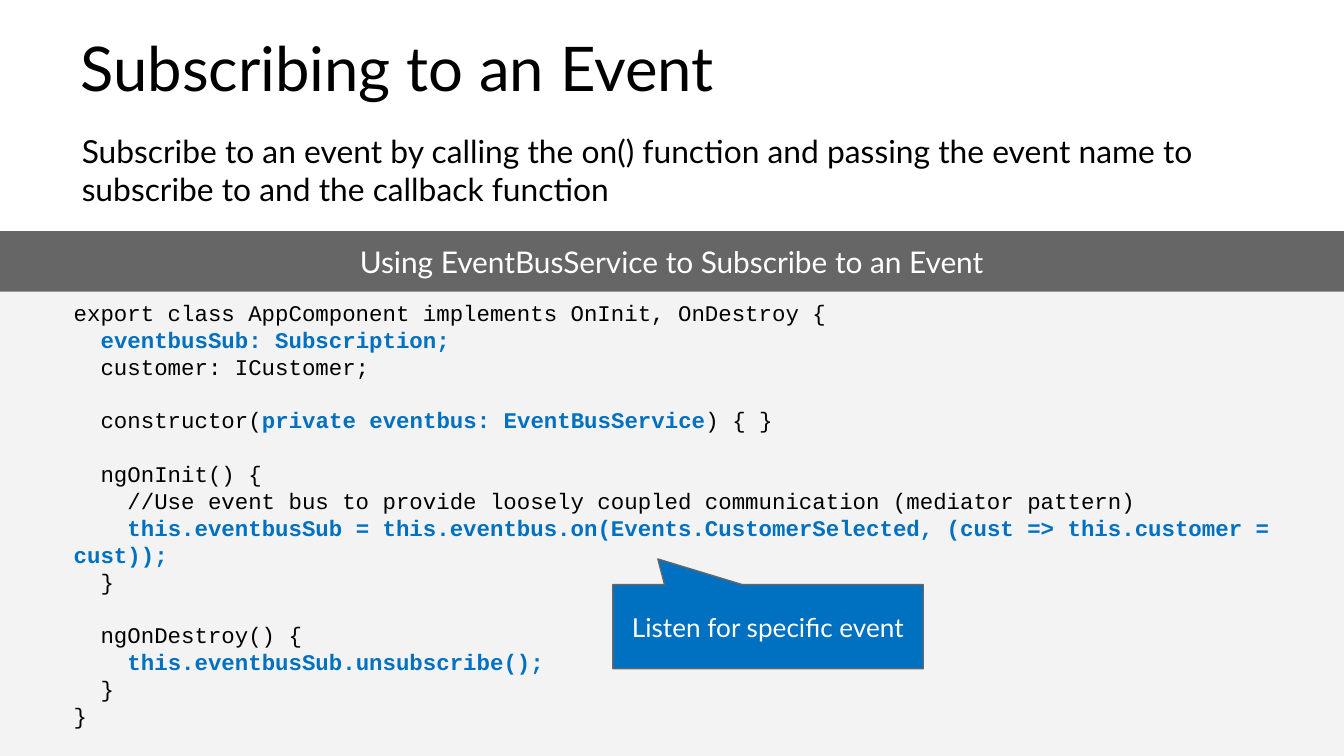
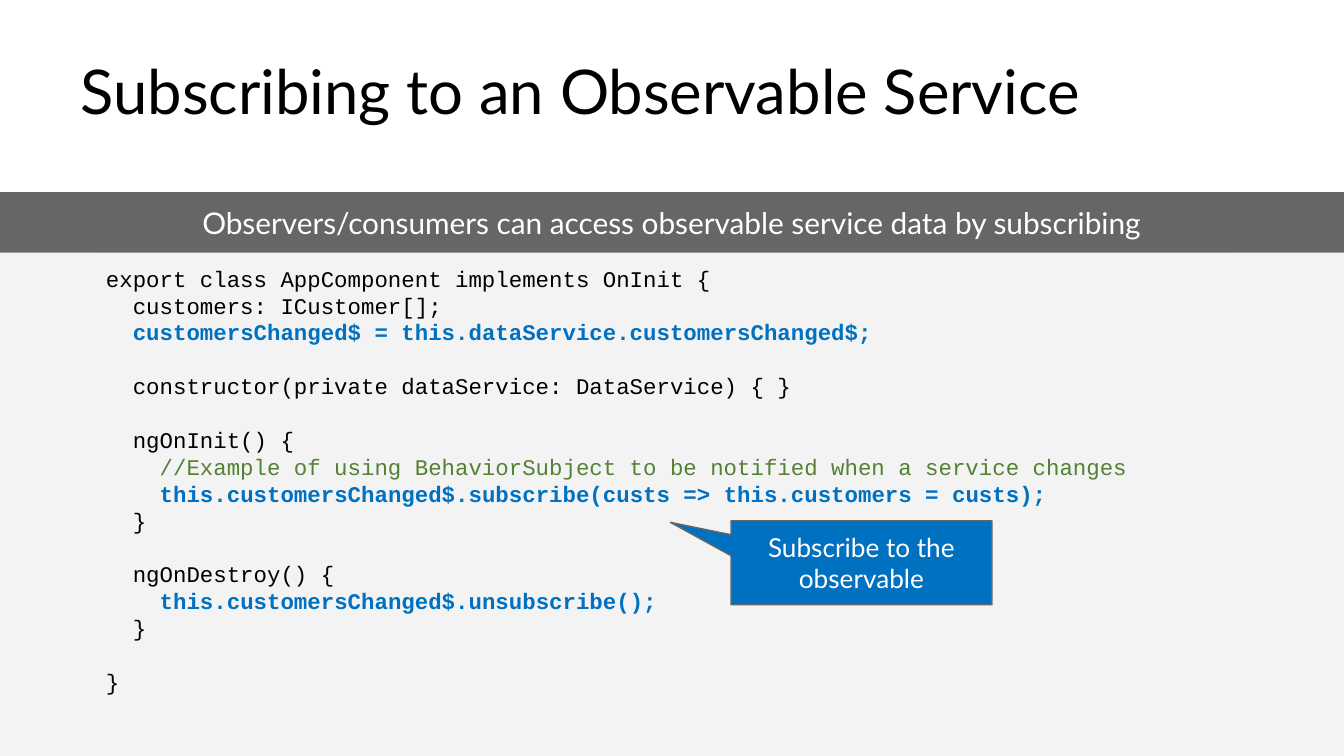
from pptx import Presentation, util as u
from pptx.dml.color import RGBColor
from pptx.enum import shapes, text

deck = Presentation()
deck.slide_width, deck.slide_height = u.Inches(10), u.Inches(5.625)
COLS, ROWS = 100, 56.25
unit = deck.slide_width / COLS
BAND = 4.5
BLACK, WHITE, PALE, GRAY, BLUE, GREEN = "000000", "FFFFFF", "F3F3F3", "666666", "0070C0", "548135"
RECT = shapes.MSO_SHAPE.RECTANGLE
CALL = shapes.MSO_SHAPE.RECTANGULAR_CALLOUT
LEFT, MID = text.PP_ALIGN.LEFT, text.PP_ALIGN.CENTER
LEAD = u.Pt(14.4)

pages = [
    dict(
        title="Subscribing to an Event", top=0.6, band=17.2,
        head="Using EventBusService to Subscribe to an Event",
        intro="Subscribe to an event by calling the on() function and passing "
              "the event name to subscribe to and the callback function",
        area=(4.5, 21.7, 93.1, 33.1),
        note="Listen for specific event", spot=(45.6, 43.5, 23.1, 6.25), tip=(-0.355, -0.805),
        code="""export class AppComponent implements OnInit, OnDestroy {
  |eventbusSub: Subscription;|
  customer: ICustomer;

  constructor(|private eventbus: EventBusService|) { }

  ngOnInit() {
    //Use event bus to provide loosely coupled communication (mediator pattern)
    |this.eventbusSub = this.eventbus.on(Events.CustomerSelected, (cust => this.customer = cust));|
  }

  ngOnDestroy() {
    |this.eventbusSub.unsubscribe();|
  }
}""", remark=BLACK),
    dict(
        title="Subscribing to an Observable Service", top=2.3, band=14.3,
        head="Observers/consumers can access observable service data by subscribing",
        intro=None,
        area=(6.9, 18.8, 85, 33.8),
        note="Subscribe to the observable", spot=(54.4, 38.75, 19.4, 6.25), tip=(-0.733, -0.481),
        code="""export class AppComponent implements OnInit {
  customers: ICustomer[];
  |customersChanged$ = this.dataService.customersChanged$;|

  constructor(private dataService: DataService) { }

  ngOnInit() {
    //Example of using BehaviorSubject to be notified when a service changes
    |this.customersChanged$.subscribe(custs => this.customers = custs);|
  }

  ngOnDestroy() {
    |this.customersChanged$.unsubscribe();|
  }

}""", remark=GREEN),
]


def tint(color, code):
    color.rgb = RGBColor.from_string(code)


def put(shape, area, fill=None, words="", size=16, ink=BLACK, align=LEFT, font="Lato", pad=(1, 1)):
    shape.left, shape.top, shape.width, shape.height = [round(n * unit) for n in area]
    if fill:
        shape.shadow.inherit = False
        shape.fill.solid()
        tint(shape.fill.fore_color, fill)
        shape.line.fill.background()
    frame = shape.text_frame
    frame.word_wrap = True
    frame.auto_size = text.MSO_AUTO_SIZE.NONE
    frame.vertical_anchor = text.MSO_ANCHOR.MIDDLE
    frame.margin_left = frame.margin_right = round(pad[0] * unit)
    frame.margin_top = frame.margin_bottom = round(pad[1] * unit)
    par = frame.paragraphs[0]
    par.text = words
    par.alignment = align
    par.font.name, par.font.size = font, u.Pt(size)
    tint(par.font.color, ink)
    return shape


for page in pages:
    slide = deck.slides.add_slide(deck.slide_layouts[5])
    add = slide.shapes.add_shape
    base = page["band"] + BAND

    put(add(RECT, 0, 0, 0, 0), (0, base, COLS, ROWS - base), PALE)

    title = put(slide.shapes.title, (5, page["top"], 90, 9.4), words=page["title"], size=33)
    title.text_frame.paragraphs[0].line_spacing = 0.9

    frame = put(add(RECT, 0, 0, 0, 0), page["area"], PALE).text_frame
    gap = False
    for row, line in enumerate(page["code"].split("\n")):
        if not line:
            gap = True
            continue
        par = frame.add_paragraph() if row else frame.paragraphs[0]
        par.alignment = LEFT
        par.line_spacing = LEAD
        if gap:
            par.space_before = LEAD
            gap = False
        par.font.name, par.font.size = "Courier New", u.Pt(12)
        tint(par.font.color, page["remark"] if "//" in line else BLACK)
        for turn, part in enumerate(line.split("|")):
            if part:
                run = par.add_run()
                run.text = part
                if turn % 2:
                    run.font.bold = True
                    tint(run.font.color, BLUE)

    if page["intro"]:
        intro = put(slide.shapes.add_textbox(0, 0, 0, 0), (5.1, 8.8, 92.5, 8.9),
                    words=page["intro"], size=17)
        intro.text_frame.vertical_anchor = text.MSO_ANCHOR.TOP

    note = put(add(CALL, 0, 0, 0, 0), page["spot"], BLUE, page["note"], 14, WHITE, MID, pad=(0.7, 0.4))
    note.adjustments[0], note.adjustments[1] = page["tip"]
    note.line.width = u.Pt(0.75)
    tint(note.line.color, GRAY)

    put(add(RECT, 0, 0, 0, 0), (0, page["band"], COLS, BAND), GRAY, page["head"], 16, WHITE, MID)

deck.save("out.pptx")
